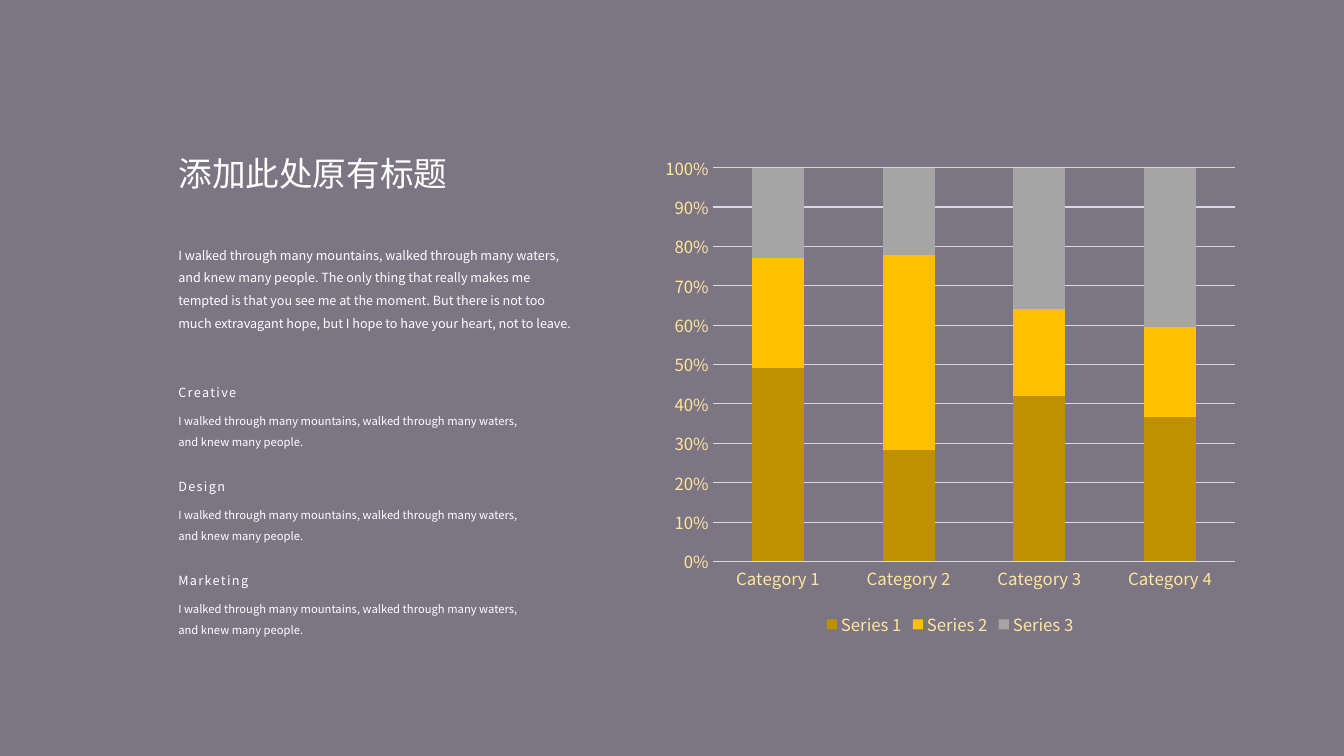
from pptx import Presentation
from pptx.chart.data import CategoryChartData
from pptx.dml.color import RGBColor
from pptx.enum import chart as ch, text as t
from pptx.oxml.ns import qn
from pptx.util import Inches, Pt
from lxml import etree

FONT = "Noto Sans CJK SC"
BACKGROUND = RGBColor(0x7B, 0x75, 0x84)
WHITE = RGBColor(0xFF, 0xFF, 0xFF)
CREAM = RGBColor(0xFF, 0xE6, 0x99)
GRID = RGBColor(0xD9, 0xD9, 0xD9)
OCHRE = RGBColor(0xBF, 0x90, 0x00)
AMBER = RGBColor(0xFF, 0xC0, 0x00)
GREY = RGBColor(0xA5, 0xA5, 0xA5)

TITLE = "添加此处原有标题"
SUMMARY = (
    "I walked through many mountains, walked through many waters, and knew many people. "
    "The only thing that really makes me tempted is that you see me at the moment. "
    "But there is not too much extravagant hope, but I hope to have your heart, not to leave."
)
TOPIC_TEXT = "I walked through many mountains, walked through many waters, and knew many people."
TOPICS = ["Creative", "Design", "Marketing"]
TOPIC_STEP = 0.93

CATEGORIES = ["Category 1", "Category 2", "Category 3", "Category 4"]
SERIES = [
    ("Series 1", (49, 28, 42, 37), OCHRE),
    ("Series 2", (28, 49, 22, 23), AMBER),
    ("Series 3", (23, 22, 36, 41), GREY),
]


def write_text(shape, wording, size, line_spacing=None, tracking=None, anchor=t.MSO_ANCHOR.TOP):
    """Fill a shape with one white, left-aligned paragraph; tracking is in points."""
    frame = shape.text_frame
    frame.text = wording
    frame.word_wrap = True
    frame.auto_size = t.MSO_AUTO_SIZE.NONE
    frame.vertical_anchor = anchor
    paragraph = frame.paragraphs[0]
    paragraph.alignment = t.PP_ALIGN.LEFT
    if line_spacing:
        paragraph.line_spacing = line_spacing
    run = paragraph.runs[0]
    run.font.size = Pt(size)
    run.font.name = FONT
    run.font.color.rgb = WHITE
    properties = run.font._element
    etree.SubElement(properties, qn("a:ea")).set("typeface", FONT)
    if tracking:
        properties.set("spc", str(tracking * 100))


def add_title(slide, left, top, width, height):
    title = slide.shapes.title
    title.left, title.top, title.width, title.height = map(Inches, (left, top, width, height))
    write_text(title, TITLE, 24, anchor=t.MSO_ANCHOR.MIDDLE)


def add_summary(slide, left, top, width, height):
    box = slide.shapes.add_textbox(*map(Inches, (left, top, width, height)))
    write_text(box, SUMMARY, 9, line_spacing=1.5)


def add_topic(slide, heading, left, top, width):
    heading_box = slide.shapes.add_textbox(*map(Inches, (left, top, 0.96, 0.25)))
    write_text(heading_box, heading, 9, tracking=1, anchor=t.MSO_ANCHOR.MIDDLE)
    detail_box = slide.shapes.add_textbox(*map(Inches, (left, top + 0.22, width, 0.5)))
    write_text(detail_box, TOPIC_TEXT, 8, line_spacing=Pt(15))


def style_font(font, size):
    font.name = FONT
    font.size = Pt(size)
    font.color.rgb = CREAM


def add_share_chart(slide, left, top, width, height):
    data = CategoryChartData()
    data.categories = CATEGORIES
    for name, values, _ in SERIES:
        data.add_series(name, values)
    frame = slide.shapes.add_chart(
        ch.XL_CHART_TYPE.COLUMN_STACKED_100, *map(Inches, (left, top, width, height)), data
    )
    chart = frame.chart
    chart.has_title = False
    style_font(chart.font, 10)

    chart.has_legend = True
    chart.legend.position = ch.XL_LEGEND_POSITION.BOTTOM
    chart.legend.include_in_layout = False
    style_font(chart.legend.font, 12)

    plot = chart.plots[0]
    plot.gap_width = 150
    plot.overlap = 100
    plot.vary_by_categories = False
    for series, (_, _, color) in zip(plot.series, SERIES):
        series.format.fill.solid()
        series.format.fill.fore_color.rgb = color

    for axis in (chart.category_axis, chart.value_axis):
        axis.major_tick_mark = axis.minor_tick_mark = ch.XL_TICK_MARK.NONE
        axis.format.line.fill.background()
        style_font(axis.tick_labels.font, 12)

    value_axis = chart.value_axis
    value_axis.major_unit = 0.1
    value_axis.tick_labels.number_format = "0%"
    value_axis.tick_labels.number_format_is_linked = False
    value_axis.has_major_gridlines = True
    value_axis.major_gridlines.format.line.color.rgb = GRID
    value_axis.major_gridlines.format.line.width = Pt(0.75)


def main():
    presentation = Presentation()
    presentation.slide_width = Inches(13.33)
    presentation.slide_height = Inches(7.5)
    slide = presentation.slides.add_slide(presentation.slide_layouts.get_by_name("Title Only"))
    slide.background.fill.solid()
    slide.background.fill.fore_color.rgb = BACKGROUND

    add_share_chart(slide, 6.48, 1.44, 5.89, 4.92)
    add_title(slide, 1.67, 1.47, 2.87, 0.5)
    add_summary(slide, 1.67, 2.33, 4.13, 0.99)
    for index, heading in enumerate(TOPICS):
        add_topic(slide, heading, 1.67, 3.77 + index * TOPIC_STEP, 3.57)

    presentation.save("out.pptx")


if __name__ == "__main__":
    main()
